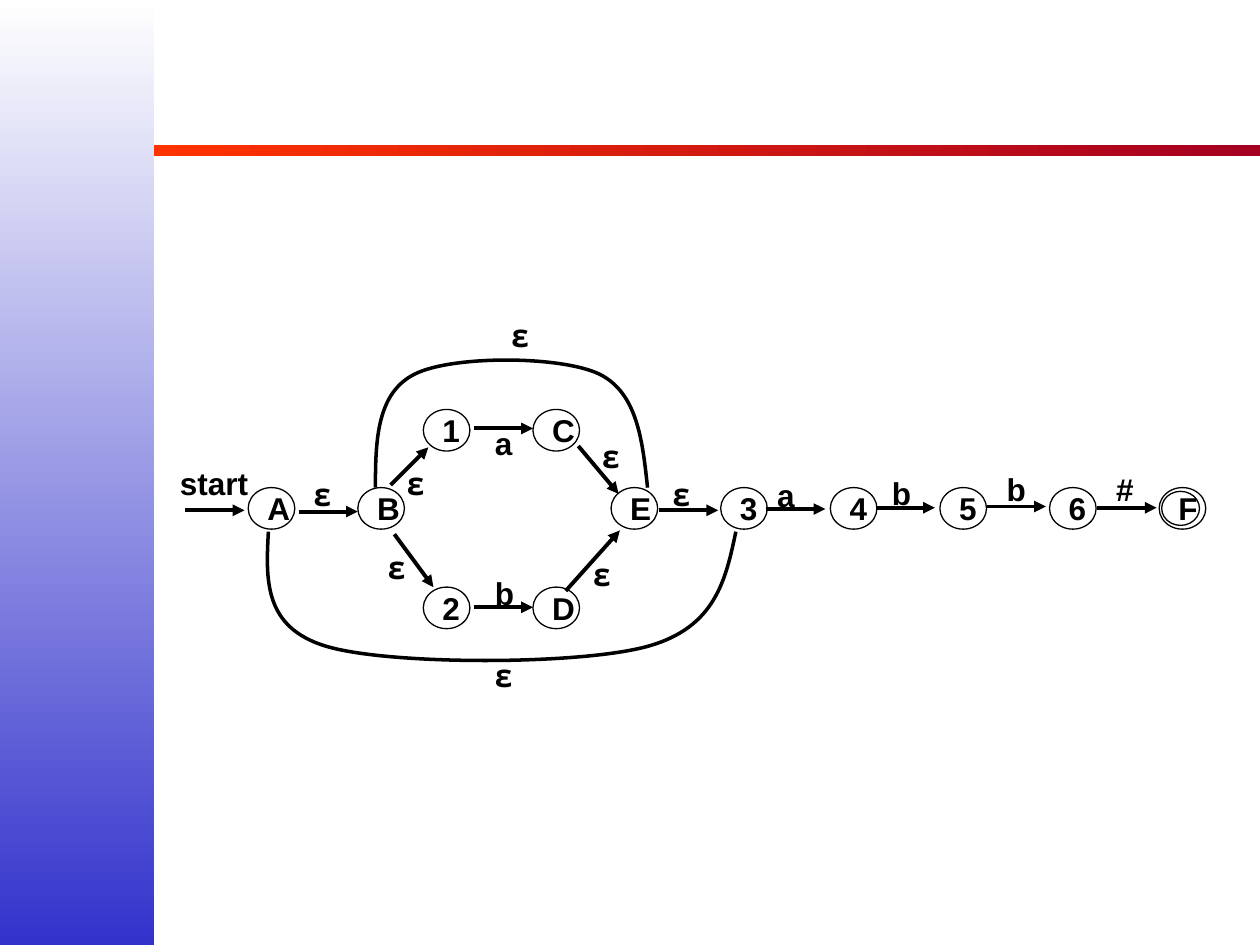
from lxml.etree import SubElement
from pptx import Presentation
from pptx.dml.color import RGBColor
from pptx.enum.shapes import MSO_CONNECTOR as Connector, MSO_SHAPE as Shape
from pptx.enum.text import MSO_AUTO_SIZE as AutoSize, PP_ALIGN as Align
from pptx.oxml.ns import qn
from pptx.util import Inches, Pt


def color(value):
    return RGBColor.from_string(value)


class Diagram:
    ink = "000000"
    font_size = 18
    node_width, node_height = 0.37, 0.33
    label_height = 0.44

    def __init__(self, slide):
        self.shapes = slide.shapes

    def gradient(self, left, top, width, height, start, end, angle):
        shape = self.shapes.add_shape(Shape.RECTANGLE, *map(Inches, (left, top, width, height)))
        shape.shadow.inherit = False
        shape.line.fill.background()
        shape.fill.gradient()
        shape.fill.gradient_angle = angle
        for stop, value in zip(shape.fill.gradient_stops, (start, end)):
            stop.color.rgb = color(value)

    def outline(self, shape, weight):
        shape.shadow.inherit = False
        shape.fill.background()
        shape.line.color.rgb = color(self.ink)
        shape.line.width = Pt(weight)

    def ring(self, left, top, width, height):
        shape = self.shapes.add_shape(Shape.OVAL, *map(Inches, (left, top, width, height)))
        self.outline(shape, 0.75)
        return shape

    def set_text(self, shape, text, align, font="Arial"):
        paragraph = shape.text_frame.paragraphs[0]
        paragraph.text = text
        paragraph.alignment = align
        paragraph.font.name = font
        paragraph.font.size = Pt(self.font_size)
        paragraph.font.bold = True
        paragraph.font.color.rgb = color(self.ink)

    def node(self, name, left, top):
        self.set_text(self.ring(left, top, self.node_width, self.node_height), name, Align.CENTER)

    def label(self, text, left, top, width=0.48):
        box = self.shapes.add_textbox(*map(Inches, (left, top, width, self.label_height)))
        box.text_frame.word_wrap = True
        box.text_frame.auto_size = AutoSize.SHAPE_TO_FIT_TEXT
        self.set_text(box, text, Align.LEFT, "Open Sans" if text == "ε" else "Arial")

    def arrow(self, x1, y1, x2, y2):
        connector = self.shapes.add_connector(Connector.STRAIGHT, *map(Inches, (x1, y1, x2, y2)))
        connector.line.color.rgb = color(self.ink)
        connector.line.width = Pt(2.25)
        properties = connector._element.spPr
        SubElement(properties.find(qn("a:ln")), qn("a:tailEnd"), type="triangle")
        SubElement(properties, qn("a:effectLst"))

    def curve(self, start, *points):
        builder = self.shapes.build_freeform(*map(Inches, start))
        builder.add_line_segments([tuple(map(Inches, point)) for point in points], close=False)
        shape = builder.convert_to_shape()
        outline = next(shape._element.iter(qn("a:path")))
        segments = outline.findall(qn("a:lnTo"))
        for first in range(0, len(segments), 3):
            bezier = SubElement(outline, qn("a:cubicBezTo"))
            for segment in segments[first:first + 3]:
                bezier.append(segment[0])
                outline.remove(segment)
        self.outline(shape, 2)


def main():
    presentation = Presentation()
    presentation.slide_width, presentation.slide_height = Inches(10), Inches(7.5)
    diagram = Diagram(presentation.slides.add_slide(presentation.slide_layouts[6]))

    diagram.gradient(1.2, 1.15, 8.8, 0.09, "FF3300", "A50021", 0)
    diagram.gradient(0, 0, 1.22, 7.5, "FFFFFF", "3333CC", 270)

    pitch = 0.87
    for names, left, top in (
        ("AB", 1.97, 3.87), ("E3456F", 4.85, 3.87), ("1C", 3.36, 3.25), ("2D", 3.36, 4.66),
    ):
        for column, name in enumerate(names):
            diagram.node(name, left + column * pitch, top)
    diagram.ring(9.22, 3.9, 0.3, 0.27)

    for x, y in (
        (1.47, 4.05), (2.37, 4.06), (5.23, 4.05), (6.08, 4.04), (6.95, 4.03),
        (7.83, 4.02), (8.71, 4.03), (3.76, 3.4), (3.76, 4.82),
    ):
        diagram.arrow(x, y, x + 0.47, y)
    for ends in (
        (3.13, 4.24, 3.44, 4.66), (4.59, 3.54, 4.91, 3.92),
        (3.1, 3.85, 3.4, 3.55), (4.49, 4.69, 4.92, 4.21),
    ):
        diagram.arrow(*ends)

    diagram.curve(
        (2.13, 4.22), (2.11, 4.6), (2.09, 4.98), (2.59, 5.13), (3.09, 5.28),
        (4.6, 5.28), (5.14, 5.13), (5.68, 4.98), (5.76, 4.6), (5.84, 4.22),
    )
    diagram.curve(
        (5.14, 3.87), (5.1, 3.5), (5.06, 3.12), (4.76, 2.97), (4.45, 2.82),
        (3.58, 2.82), (3.29, 2.97), (2.99, 3.12), (2.98, 3.5), (2.98, 3.87),
    )

    diagram.label("start", 1.33, 3.63, 0.97)
    for text, places in {
        "ε": ((2.39, 3.72), (3.96, 2.46), (4.68, 3.42), (2.98, 4.3), (4.61, 4.36),
              (3.13, 3.63), (3.83, 5.16), (5.24, 3.72)),
        "a": ((3.83, 3.32), (6.07, 3.73)),
        "b": ((3.83, 4.51), (6.98, 3.71), (7.89, 3.68)),
        "#": ((8.76, 3.68),),
    }.items():
        for left, top in places:
            diagram.label(text, left, top)

    presentation.save("out.pptx")


if __name__ == "__main__":
    main()
